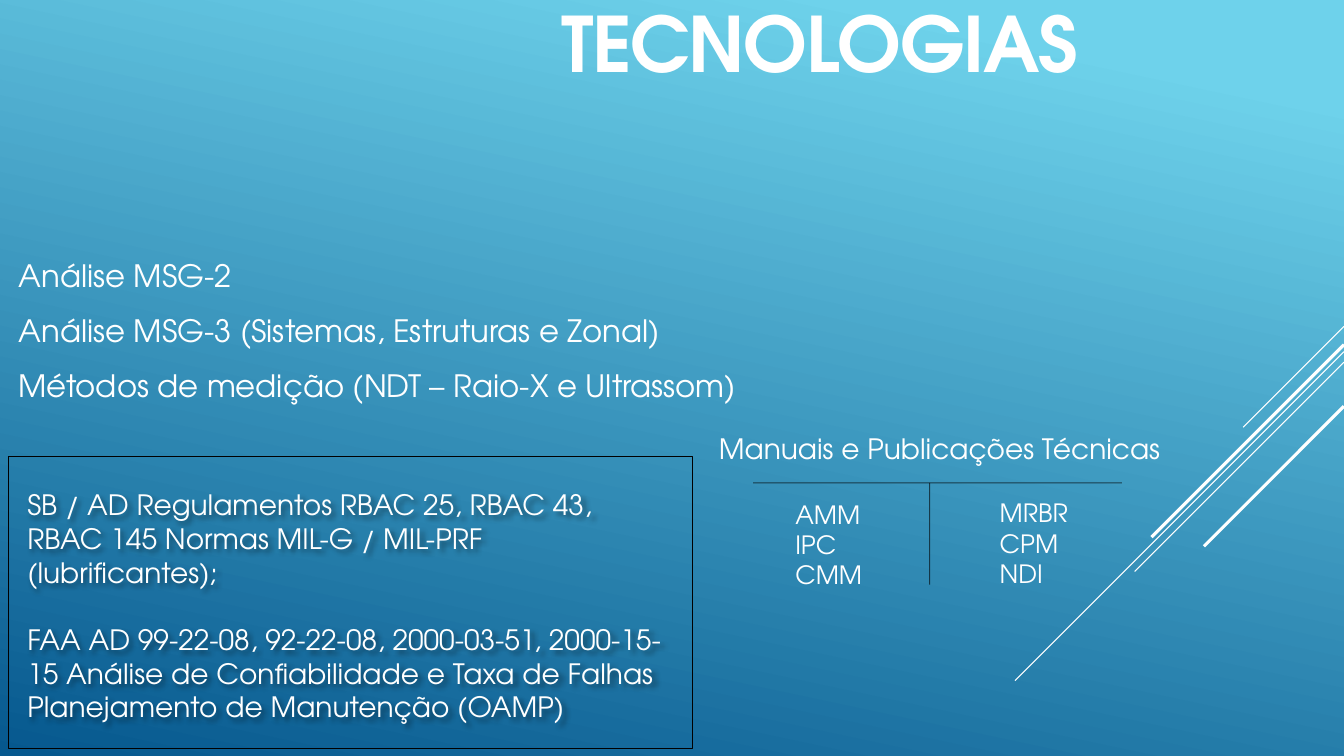
from lxml import etree
from pptx import Presentation
from pptx.dml.color import RGBColor
from pptx.enum.dml import MSO_THEME_COLOR
from pptx.enum.shapes import MSO_CONNECTOR, MSO_SHAPE
from pptx.enum.text import MSO_ANCHOR, MSO_AUTO_SIZE, PP_ALIGN
from pptx.oxml.ns import qn
from pptx.util import Pt

STRAIGHT = MSO_CONNECTOR.STRAIGHT
RECTANGLE = MSO_SHAPE.RECTANGLE
BOTTOM, TOP = MSO_ANCHOR.BOTTOM, MSO_ANCHOR.TOP
CENTER, LEFT = PP_ALIGN.CENTER, PP_ALIGN.LEFT
NO_AUTOFIT = MSO_AUTO_SIZE.NONE

WHITE = RGBColor(0xFF, 0xFF, 0xFF)
BLACK = RGBColor(0, 0, 0)
SKY = RGBColor(0x6E, 0xD2, 0xEB)
OCEAN = RGBColor(0x06, 0x58, 0x8E)
FONT = "TeX Gyre Adventor"
WIDTH, HEIGHT = 960, 540

TITLE = "TECNOLOGIAS"
ANALYSES = [
    "Análise MSG-2",
    "Análise MSG-3 (Sistemas, Estruturas e Zonal)",
    "Métodos de medição (NDT – Raio-X e Ultrassom)",
]
REGULATIONS = [
    "SB / AD Regulamentos RBAC 25, RBAC 43,",
    "RBAC 145 Normas MIL-G / MIL-PRF (lubrificantes);",
    "FAA AD 99-22-08, 92-22-08, 2000-03-51, 2000-15-15 Análise de Confiabilidade e Taxa de Falhas",
    "Planejamento de Manutenção (OAMP)",
]
FIRST_DIRECTIVE = 2
MANUALS_HEADING = "Manuais e Publicações Técnicas"
MANUALS = [
    (561, 352.8, ["AMM", "IPC", "CMM"]),
    (707, 352, ["MRBR", "CPM", "NDI"]),
]
STRIPES = [
    (233.2, 72, 0.75),
    (251.2, 235, 0.75),
    (258.7, 149.5, 0.75),
    (246.2, 137.5, 2.25),
    (290.2, 100, 2.25),
]
MANUALS_RULES = [
    (664, 345, 664, 417.6),
    (538, 345, 801.4, 345),
]


def write(frame, lines, size, bold=False, align=LEFT, anchor=TOP, spacing=None, tracking=None):
    frame.word_wrap = True
    frame.auto_size = NO_AUTOFIT
    frame.vertical_anchor = anchor
    for index, line in enumerate(lines):
        paragraph = frame.paragraphs[0] if index == 0 else frame.add_paragraph()
        paragraph.alignment = align
        if spacing:
            paragraph.line_spacing = spacing
        run = paragraph.add_run()
        run.text = line
        run.font.name = FONT
        run.font.size = Pt(size)
        run.font.bold = bold
        run.font.color.rgb = WHITE
        if tracking:
            run.font._element.set("spc", str(tracking * 100))


def add_text(slide, left, top, width, height, lines, size, **style):
    box = slide.shapes.add_textbox(Pt(left), Pt(top), Pt(width), Pt(height))
    write(box.text_frame, lines, size, **style)
    return box


def add_line(slide, x1, y1, x2, y2, color, weight, opacity=None):
    line = slide.shapes.add_connector(STRAIGHT, Pt(x1), Pt(y1), Pt(x2), Pt(y2))
    line.line.color.rgb = color
    line.line.width = Pt(weight)
    properties = line._element.spPr
    etree.SubElement(properties, qn("a:effectLst"))
    if opacity:
        tint = properties.find(".//" + qn("a:srgbClr"))
        etree.SubElement(tint, qn("a:alpha"), val=str(opacity * 1000))


def add_soft_shadow(box):
    effects = etree.SubElement(box._element.spPr, qn("a:effectLst"))
    shadow = etree.SubElement(effects, qn("a:outerShdw"), blurRad=str(Pt(4)),
                              dist=str(Pt(3)), dir="2700000", algn="tl", rotWithShape="0")
    tint = etree.SubElement(shadow, qn("a:srgbClr"), val=str(BLACK))
    etree.SubElement(tint, qn("a:alpha"), val="43000")


def paint_background(slide):
    fill = slide.background.fill
    fill.gradient()
    fill.gradient_angle = 360 - 102
    for stop, (position, color) in zip(fill.gradient_stops, [(0.1, SKY), (1, OCEAN)]):
        stop.position = position
        stop.color.rgb = color


def main():
    deck = Presentation()
    deck.slide_width, deck.slide_height = Pt(WIDTH), Pt(HEIGHT)
    slide = deck.slides.add_slide(deck.slide_layouts[5])
    paint_background(slide)

    for start, reach, weight in STRIPES:
        add_line(slide, WIDTH, start, WIDTH - reach, start + reach, WHITE, weight)

    border = slide.shapes.add_shape(RECTANGLE, Pt(6.3), Pt(326), Pt(488.4), Pt(208.6))
    border.shadow.inherit = False
    border.fill.background()
    border.line.color.rgb = BLACK
    border.line.width = Pt(0.75)

    title = slide.shapes.title
    title.left, title.top, title.width, title.height = Pt(233), Pt(0), Pt(705), Pt(62.6)
    frame = title.text_frame
    frame.margin_left = frame.margin_top = frame.margin_right = frame.margin_bottom = 0
    write(frame, [TITLE], 54.6, bold=True, align=CENTER, anchor=BOTTOM, tracking=-1)

    regulations = add_text(slide, 12.4, 345, 474.5, 177, REGULATIONS, 20)
    regulations.text_frame.paragraphs[FIRST_DIRECTIVE].space_before = Pt(24)
    add_soft_shadow(regulations)

    add_text(slide, 6.3, 166.3, 531.4, 122.4, ANALYSES, 22, spacing=1.5)
    for left, top, codes in MANUALS:
        add_text(slide, left, top, 481, 72.7, codes, 18)
    add_text(slide, 506.4, 304.6, 481, 31.5, [MANUALS_HEADING], 20)
    for ends in MANUALS_RULES:
        add_line(slide, *ends, BLACK, 0.75, opacity=60)

    deck.save("out.pptx")


if __name__ == "__main__":
    main()
